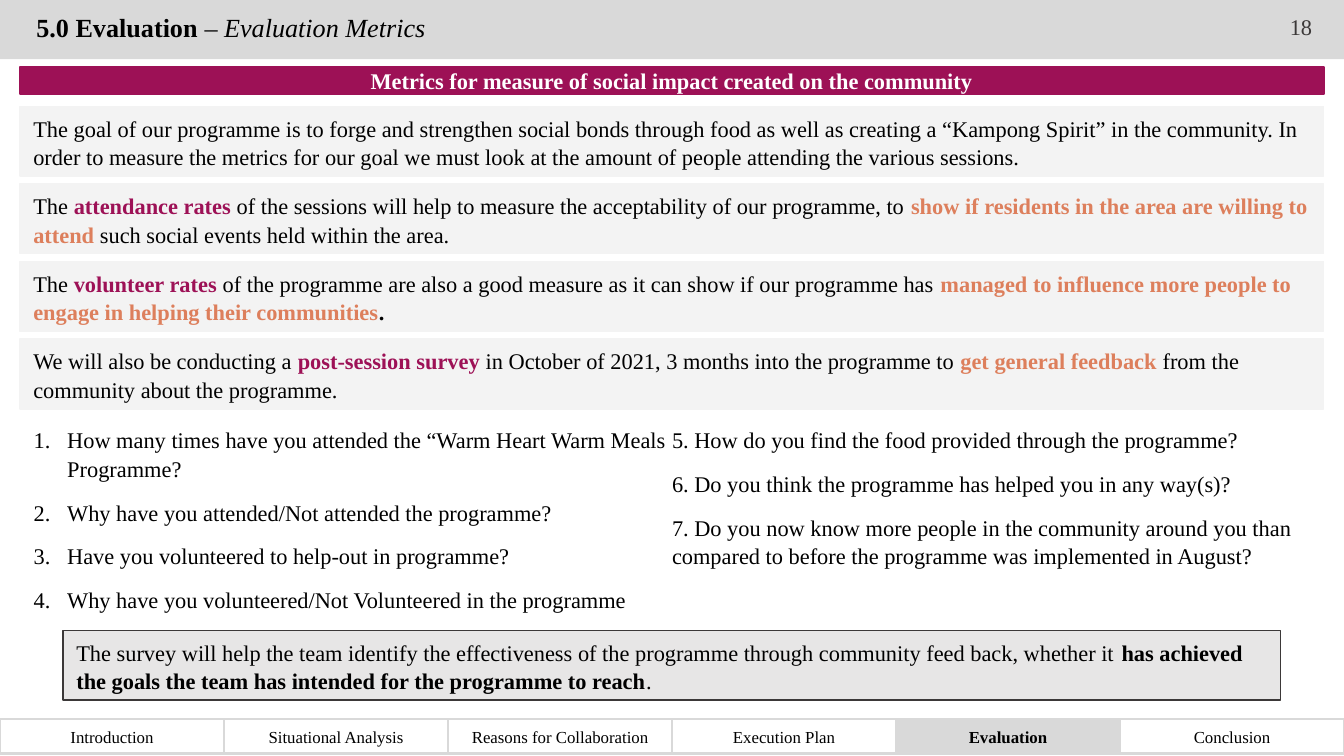
import pptx
import pptx.dml.color
import pptx.enum.shapes
import pptx.enum.text
import pptx.util
from lxml import etree
from pptx.oxml.ns import qn

RGBColor = pptx.dml.color.RGBColor
BLACK = RGBColor(0x00, 0x00, 0x00)
WHITE = RGBColor(0xFF, 0xFF, 0xFF)
DARK = RGBColor(0x3B, 0x38, 0x38)
GREY = RGBColor(0xD9, 0xD9, 0xD9)
PANEL_GREY = RGBColor(0xF3, 0xF3, 0xF3)
SURVEY_GREY = RGBColor(0xE7, 0xE6, 0xE6)
PLUM = RGBColor(0x9D, 0x11, 0x56)
ORANGE = RGBColor(0xDD, 0x7F, 0x5C)

FONT = "Times New Roman"
Inches = pptx.util.Inches
Pt = pptx.util.Pt
ALIGN = pptx.enum.text.PP_ALIGN
ANCHOR = pptx.enum.text.MSO_ANCHOR

WIDTH = 10
HEIGHT = WIDTH * 9 / 16
MARGIN = 0.15
CONTENT = WIDTH - 2 * MARGIN
HEADER_HEIGHT = 0.44
PANEL_HEIGHT = 0.52

presentation = pptx.Presentation()
presentation.slide_width = Inches(WIDTH)
presentation.slide_height = Inches(HEIGHT)
slide = presentation.slides.add_slide(presentation.slide_layouts[3])
title, left_list, right_list = slide.placeholders


def add_box(left, top, width, height, fill, line, line_width):
    box = slide.shapes.add_shape(
        pptx.enum.shapes.MSO_SHAPE.RECTANGLE,
        Inches(left), Inches(top), Inches(width), Inches(height))
    box.shadow.inherit = False
    box.fill.solid()
    box.fill.fore_color.rgb = fill
    box.line.color.rgb = line
    box.line.width = Pt(line_width)
    box.text_frame.word_wrap = True
    return box


def add_runs(paragraph, runs, size=12, align=ALIGN.LEFT, spacing=1.0, after=0):
    """Fill a paragraph from (text, colour, bold) runs."""
    paragraph.alignment = align
    paragraph.line_spacing = spacing
    paragraph.space_before = Pt(0)
    paragraph.space_after = Pt(after)
    for text, color, bold in runs:
        run = paragraph.add_run()
        run.text = text
        run.font.name = FONT
        run.font.size = Pt(size)
        run.font.bold = bold
        run.font.color.rgb = color


# Header: the bar goes behind the title placeholder
header = add_box(0, 0, WIDTH, HEADER_HEIGHT, GREY, GREY, 0.75)
header.line.fill.background()
slide.shapes._spTree.insert(2, header._element)

title.left, title.top = Inches(0), Inches(0)
title.width, title.height = Inches(4.14), Inches(0.43)
title.text_frame.auto_size = pptx.enum.text.MSO_AUTO_SIZE.NONE
title.text_frame.vertical_anchor = ANCHOR.MIDDLE
title.text_frame.margin_left = Inches(0.27)
heading = title.text_frame.paragraphs[0]
add_runs(heading, [("5.0 Evaluation ", BLACK, True), ("– ", BLACK, False),
                   ("Evaluation Metrics", BLACK, False)], size=14, spacing=0.9)
heading.runs[-1].font.italic = True

page_number = slide.shapes.add_textbox(
    Inches(WIDTH - 0.64), Inches(0), Inches(0.64), Inches(0.4))
page_number.text_frame.word_wrap = True
page_number.text_frame.vertical_anchor = ANCHOR.MIDDLE
add_runs(page_number.text_frame.paragraphs[0], [("18", DARK, False)], align=ALIGN.CENTER)

banner = add_box(MARGIN, 0.5, CONTENT, 0.2, PLUM, PLUM, 1)
banner.text_frame.margin_top = banner.text_frame.margin_bottom = 0
banner.text_frame.vertical_anchor = ANCHOR.MIDDLE
add_runs(banner.text_frame.paragraphs[0],
         [("Metrics for measure of social impact created on the community", WHITE, True)],
         align=ALIGN.CENTER)

# Text panels in equal rows
PANELS_TOP, PANELS_BOTTOM = 0.79, 3.1
panels = [
    [("The goal of our programme is to forge and strengthen social bonds through food "
      "as well as creating a “Kampong Spirit” in the community. In order to measure the "
      "metrics for our goal we must look at the amount of people attending the various "
      "sessions.", BLACK, False)],
    [("The ", BLACK, False), ("attendance rates ", PLUM, True),
     ("of the sessions will help to measure the acceptability of our programme, to ",
      BLACK, False),
     ("show if residents in the area are willing to attend ", ORANGE, True),
     ("such social events held within the area.", BLACK, False)],
    [("The ", BLACK, False), ("volunteer rates ", PLUM, True),
     ("of the programme are also a good measure as it can show if our programme has ",
      BLACK, False),
     ("managed to influence more people to engage in helping their communities",
      ORANGE, True),
     (".", BLACK, True)],
    [("We will also be conducting a ", BLACK, False), ("post-session survey ", PLUM, True),
     ("in October of 2021, 3 months into the programme to ", BLACK, False),
     ("get general feedback ", ORANGE, True),
     ("from the community about the programme.", BLACK, False)],
]
row_step = (PANELS_BOTTOM - PANELS_TOP) / len(panels)
for row, runs in enumerate(panels):
    panel = add_box(MARGIN, PANELS_TOP + row * row_step, CONTENT, PANEL_HEIGHT,
                    PANEL_GREY, PANEL_GREY, 0.75)
    panel.text_frame.vertical_anchor = ANCHOR.TOP
    add_runs(panel.text_frame.paragraphs[0], runs, spacing=1.07, after=8)

# Survey questions in two columns; an en space follows the numbers on the right
questions = [
    (left_list, MARGIN + 0.1, [
        "How many times have you attended the “Warm Heart Warm Meals Programme?",
        "Why have you attended/Not attended the programme?",
        "Have you volunteered to help-out in programme?",
        "Why have you volunteered/Not Volunteered in the programme"]),
    (right_list, WIDTH / 2, [
        "5. How do you find the food provided through the programme?",
        "6. Do you think the programme has helped you in any way(s)?",
        "7. Do you now know more people in the community around you than "
        "compared to before the programme was implemented in August?"]),
]
for body, left, items in questions:
    body.left, body.top = Inches(left), Inches(3.11)
    body.width, body.height = Inches(CONTENT / 2 - 0.1), Inches(1.55)
    frame = body.text_frame
    frame.auto_size = pptx.enum.text.MSO_AUTO_SIZE.NONE
    frame.word_wrap = True
    frame.margin_left = frame.margin_right = 0
    for index, item in enumerate(items):
        paragraph = frame.paragraphs[0] if index == 0 else frame.add_paragraph()
        add_runs(paragraph, [(item, BLACK, False)], spacing=1.07, after=8)
        properties = paragraph._p.get_or_add_pPr()
        indent = Inches(0.25) if body is left_list else 0
        properties.set("marL", str(indent))
        properties.set("indent", str(-indent))
        if body is left_list:
            bullet_font = etree.SubElement(properties, qn("a:buFont"))
            bullet_font.set("typeface", FONT)
            etree.SubElement(properties, qn("a:buAutoNum")).set("type", "arabicPeriod")
        else:
            etree.SubElement(properties, qn("a:buNone"))

survey = add_box(0.47, 4.69, WIDTH - 2 * 0.47, PANEL_HEIGHT, SURVEY_GREY, DARK, 0.75)
survey.text_frame.vertical_anchor = ANCHOR.TOP
add_runs(survey.text_frame.paragraphs[0], [
    ("The survey will help the team identify the effectiveness of the programme through "
     "community feed back, whether it ", BLACK, False),
    ("has achieved the goals the team has intended for the programme to reach", BLACK, True),
    (".", BLACK, False)], spacing=1.07, after=8)

# Section tabs along the bottom
sections = ["Introduction", "Situational Analysis", "Reasons for Collaboration",
            "Execution Plan", "Evaluation", "Conclusion"]
tab_width = WIDTH / len(sections)
for column, section in enumerate(sections):
    current = section == "Evaluation"
    section_tab = add_box(column * tab_width, 5.35, tab_width, 0.26,
                          GREY if current else WHITE, GREY, 1.5)
    section_tab.text_frame.vertical_anchor = ANCHOR.MIDDLE
    add_runs(section_tab.text_frame.paragraphs[0], [(section, BLACK, current)],
             size=9, align=ALIGN.CENTER)

presentation.save("out.pptx")
